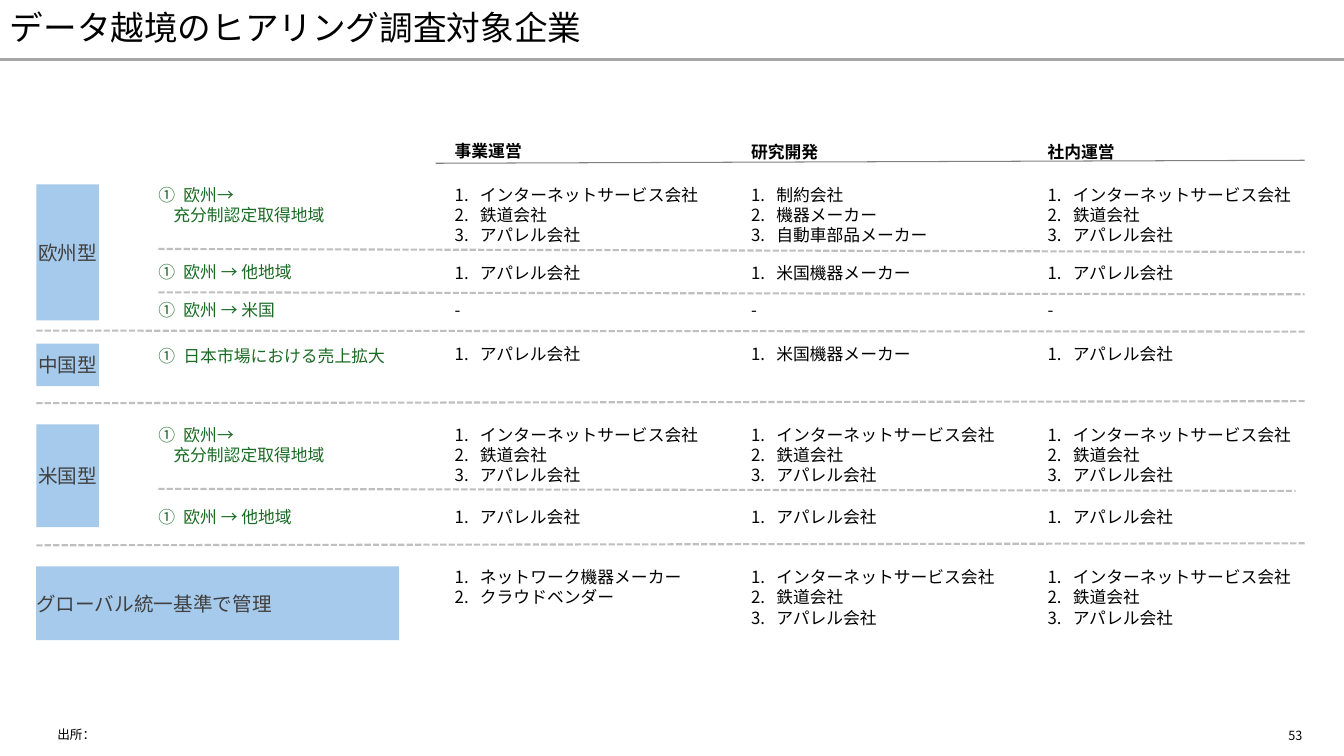
from lxml import etree
from pptx import Presentation
from pptx.dml.color import RGBColor
from pptx.enum.dml import MSO_LINE
from pptx.enum.shapes import MSO_CONNECTOR, MSO_SHAPE
from pptx.enum.text import MSO_ANCHOR, PP_ALIGN
from pptx.oxml.ns import qn
from pptx.util import Inches, Pt

FONT = "Noto Sans CJK JP"
BLACK = RGBColor(0x00, 0x00, 0x00)
GREEN = RGBColor(0x19, 0x6B, 0x24)
BLUE = RGBColor(0xA6, 0xCA, 0xEC)
DARK = RGBColor(0x40, 0x40, 0x40)
RULE = RGBColor(0xA6, 0xA6, 0xA6)
GREY = RGBColor(0x80, 0x80, 0x80)
PALE = RGBColor(0xBF, 0xBF, 0xBF)
MIDDLE = MSO_ANCHOR.MIDDLE
LEFT, CENTER = PP_ALIGN.LEFT, PP_ALIGN.CENTER
RECT = MSO_SHAPE.RECTANGLE
STRAIGHT = MSO_CONNECTOR.STRAIGHT
DASH = MSO_LINE.SQUARE_DOT

NUMBER, CIRCLE = "arabicPeriod", "circleNumDbPlain"
LABEL_X = 1.57
COL_X = [4.51, 7.45, 10.39]
CELL_W = 2.58
LINE_H = 0.2

HEADS = [("事業運営", 1.39), ("研究開発", 1.4), ("社内運営", 1.4)]
TRIO = ["インターネットサービス会社", "鉄道会社", "アパレル会社"]
APPAREL = ["アパレル会社"]
DEVICE = ["米国機器メーカー"]
NONE = ["-"]
ADEQUATE = ["欧州→", "充分制認定取得地域"]
OTHER = ["欧州 → 他地域"]

# label top, label lines, cell top, cells by column
ROWS = [
    (1.83, ADEQUATE, 1.83,
     [TRIO, ["制約会社", "機器メーカー", "自動車部品メーカー"], TRIO]),
    (2.6, OTHER, 2.61, [APPAREL, DEVICE, APPAREL]),
    (2.97, ["欧州 → 米国"], 2.97, [NONE] * 3),
    (3.43, ["日本市場における売上拡大"], 3.41, [APPAREL, DEVICE, APPAREL]),
    (4.21, ADEQUATE, 4.21, [TRIO] * 3),
    (5.03, OTHER, 5.03, [APPAREL] * 3),
    (5.62, [], 5.62,
     [["ネットワーク機器メーカー", "クラウドベンダー"], TRIO, TRIO]),
]

# text, top, width, height, alignment
GROUPS = [
    ("欧州型", 1.83, 0.62, 1.35, CENTER),
    ("中国型", 3.41, 0.62, 0.42, CENTER),
    ("米国型", 4.21, 0.62, 1.02, CENTER),
    ("グローバル統一基準で管理", 5.62, 3.6, 0.73, LEFT),
]

# left, left height, right, right height
DIVIDERS = [
    (1.57, 2.47, 12.94, 2.5),
    (1.57, 2.9, 12.94, 2.92),
    (0.36, 3.28, 12.94, 3.29),
    (0.36, 4, 12.94, 3.98),
    (1.57, 4.85, 12.85, 4.87),
    (0.36, 5.41, 12.94, 5.39),
]


def add_run(para, text, size, color, bold=False):
    run = para.add_run()
    run.text = text
    font = run.font
    font.size, font.bold, font.name = Pt(size), bold, FONT
    font.color.rgb = color
    east = etree.SubElement(run._r.get_or_add_rPr(), qn("a:ea"))
    east.set("typeface", FONT)


def set_indent(para, left, hang=0, bullet=None):
    props = para._p.get_or_add_pPr()
    props.set("marL", str(Inches(left)))
    props.set("indent", str(-Inches(hang)))
    if bullet:
        etree.SubElement(props, qn("a:buFont")).set("typeface", "+mj-lt")
        etree.SubElement(props, qn("a:buAutoNum")).set("type", bullet)


def clear_insets(frame):
    frame.margin_left = frame.margin_right = 0
    frame.margin_top = frame.margin_bottom = 0


def add_box(slide, x, y, w, h):
    box = slide.shapes.add_textbox(Inches(x), Inches(y), Inches(w), Inches(h))
    box.text_frame.word_wrap = True
    return box.text_frame


def add_note(slide, text, x, y, w, h, size, anchor=None, spacing=None):
    frame = add_box(slide, x, y, w, h)
    frame.vertical_anchor = anchor
    para = frame.paragraphs[0]
    para.line_spacing = spacing
    add_run(para, text, size, BLACK)


def add_head(slide, text, x, y):
    frame = add_box(slide, x, y, 0.67, LINE_H)
    frame.word_wrap = False
    clear_insets(frame)
    para = frame.paragraphs[0]
    para.line_spacing = Pt(14.5)
    add_run(para, text, 12, BLACK, True)


def add_list(slide, lines, x, y, width, bullet, color):
    frame = add_box(slide, x, y, width, LINE_H * len(lines))
    clear_insets(frame)
    for i, line in enumerate(lines):
        para = frame.add_paragraph() if i else frame.paragraphs[0]
        if bullet == CIRCLE and i:
            set_indent(para, 0.15)
        elif lines != NONE:
            set_indent(para, 0.25, 0.25, bullet)
        para.line_spacing = Pt(14.5)
        add_run(para, line, 12, color)


def add_group(slide, text, y, w, h, align):
    shape = slide.shapes.add_shape(
        RECT, Inches(0.36), Inches(y), Inches(w), Inches(h))
    shape.shadow.inherit = False
    shape.fill.solid()
    shape.fill.fore_color.rgb = BLUE
    shape.line.fill.background()
    frame = shape.text_frame
    frame.word_wrap = True
    frame.vertical_anchor = MIDDLE
    clear_insets(frame)
    para = frame.paragraphs[0]
    para.alignment = align
    add_run(para, text, 14, DARK)


def add_line(slide, ends, color, width, dash=None):
    line = slide.shapes.add_connector(STRAIGHT, *[Inches(v) for v in ends])
    line.line.color.rgb = color
    line.line.width = Pt(width)
    line.line.dash_style = dash
    etree.SubElement(line._element.spPr, qn("a:effectLst"))


def main():
    prs = Presentation()
    prs.slide_width, prs.slide_height = Inches(13.33), Inches(7.5)
    slide = prs.slides.add_slide(prs.slide_layouts[6])

    # Title and footer
    add_line(slide, (0, 0.59, 13.33, 0.59), RULE, 2.25)
    add_note(slide, "データ越境のヒアリング調査対象企業",
             0, 0, 13.33, 0.59, 24, MIDDLE, 0.9)
    add_note(slide, "出所：", 0.47, 7.17, 11.02, 0.24, 9, MIDDLE)
    add_note(slide, "53", 12.68, 7.17, 0.59, 0.24, 9)

    # Column heads
    add_line(slide, (4.32, 1.62, 12.94, 1.59), GREY, 0.75)
    for x, (text, y) in zip(COL_X, HEADS):
        add_head(slide, text, x, y)

    # Groups and dividers
    for group in GROUPS:
        add_group(slide, *group)
    for ends in DIVIDERS:
        add_line(slide, ends, PALE, 1.5, DASH)

    # Row labels and company lists
    for label_y, label, cell_y, cells in ROWS:
        if label:
            add_list(slide, label, LABEL_X, label_y, 2.76, CIRCLE, GREEN)
        for x, names in zip(COL_X, cells):
            add_list(slide, names, x, cell_y, CELL_W, NUMBER, BLACK)

    prs.save("out.pptx")


if __name__ == "__main__":
    main()
